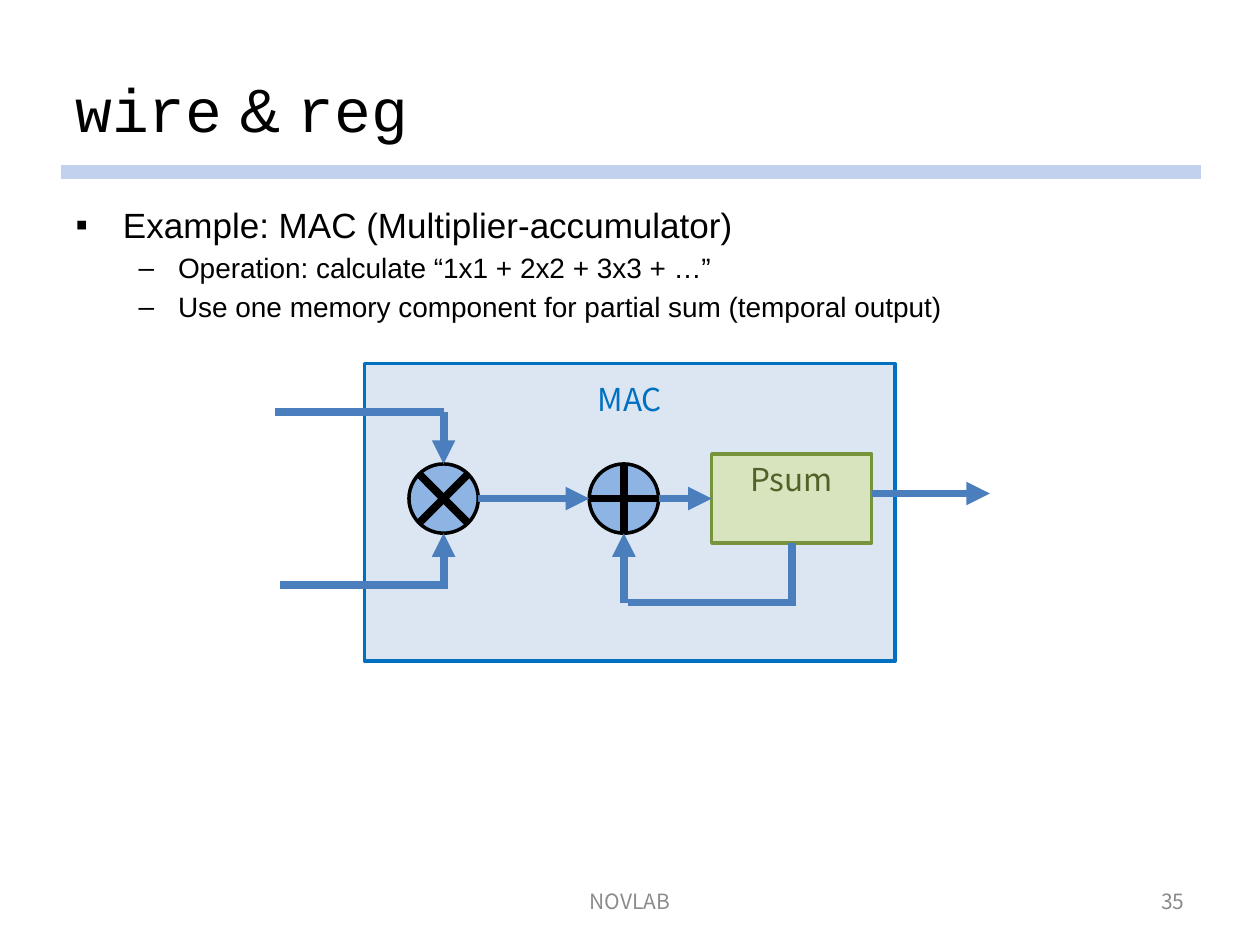
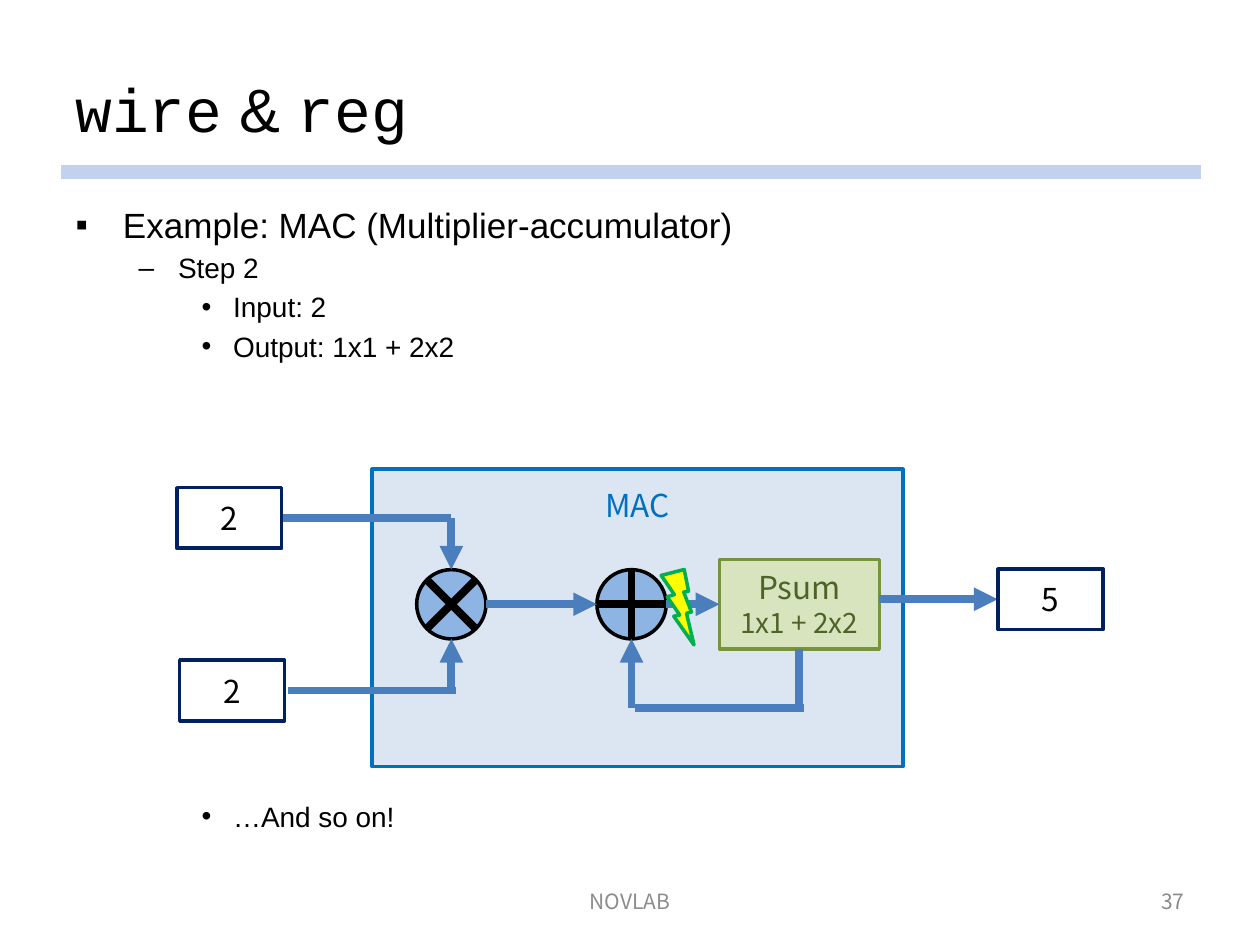
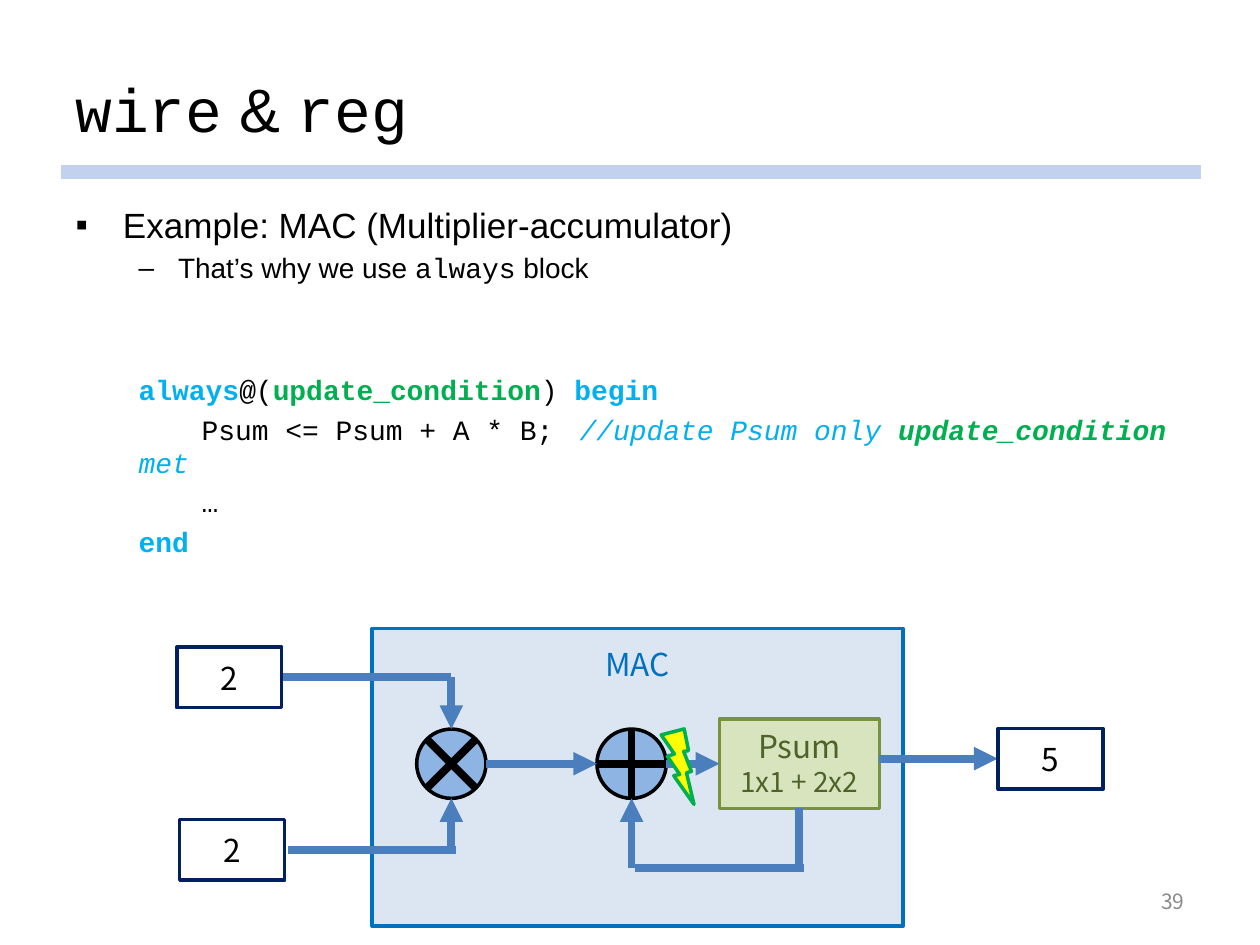
from lxml.etree import SubElement
from pptx import Presentation
from pptx.dml.color import RGBColor
from pptx.enum.shapes import MSO_CONNECTOR as Connector, MSO_SHAPE as Shape
from pptx.enum.text import MSO_ANCHOR as Anchor, PP_ALIGN as Align
from pptx.oxml.ns import qn
from pptx.util import Pt

# Colours and fonts
BLACK = RGBColor(0x00, 0x00, 0x00)
WHITE = RGBColor(0xFF, 0xFF, 0xFF)
BAND = RGBColor(0xC2, 0xD1, 0xED)
PAGE_GREY = RGBColor(0x89, 0x89, 0x89)
LAB_GREY = RGBColor(0x8C, 0x8C, 0x8C)
MAC_FILL = RGBColor(0xDC, 0xE6, 0xF2)
MAC_BLUE = RGBColor(0x00, 0x70, 0xC0)
PSUM_FILL = RGBColor(0xD7, 0xE4, 0xBD)
PSUM_LINE = RGBColor(0x77, 0x93, 0x3C)
PSUM_TEXT = RGBColor(0x4F, 0x62, 0x28)
NODE_FILL = RGBColor(0x8E, 0xB4, 0xE3)
WIRE = RGBColor(0x4B, 0x7E, 0xBC)
NAVY = RGBColor(0x00, 0x20, 0x60)
YELLOW = RGBColor(0xFF, 0xFF, 0x00)
GREEN = RGBColor(0x00, 0xB0, 0x50)
CYAN = RGBColor(0x00, 0xB0, 0xF0)
SANS, MONO, LABEL = "Arial", "Courier New", "Noto Sans CJK KR"

# Text formats
TITLE = {"size": Pt(35), "name": SANS}
TITLE_CODE = {"size": Pt(35), "name": MONO}
HEAD = {"size": Pt(20), "name": SANS}
BODY = {"size": Pt(16), "name": SANS}
CODE = {"size": Pt(16), "name": MONO}
KEYWORD = CODE | {"color": CYAN, "bold": True}
CONDITION = CODE | {"color": GREEN, "bold": True}
NOTE = CODE | {"color": CYAN, "italic": True}
VALUE = {"size": Pt(18), "name": LABEL}
SMALL = {"size": Pt(12), "name": LABEL}

# Paragraph levels: left margin, first-line indent, space before, bullet
TOP = (27, -27, 4, "▪")
DASH = (58.5, -22.5, 3.2, "–")
DOT = (90, -18, 3.2, "•")
LISTING = (0, 0, 3.2, None)
PLAIN = (0, 0, 0, None)


def write(shape, paragraphs, align=Align.LEFT, anchor=Anchor.MIDDLE, top=3.6):
    frame = shape.text_frame
    frame.word_wrap = True
    frame.vertical_anchor = anchor
    frame.margin_top = Pt(top)
    for index, ((margin, indent, before, bullet), spans) in enumerate(paragraphs):
        para = frame.add_paragraph() if index else frame.paragraphs[0]
        para.alignment = align
        para.space_before = Pt(before)
        properties = para._p.get_or_add_pPr()
        properties.set("marL", str(Pt(margin)))
        properties.set("indent", str(Pt(indent)))
        if bullet:
            SubElement(properties, qn("a:buFont"), typeface=SANS)
            SubElement(properties, qn("a:buChar"), char=bullet)
        for text, formats in spans:
            span = para.add_run()
            span.text = text
            span.font.color.rgb = BLACK
            for key, value in formats.items():
                if key == "color":
                    span.font.color.rgb = value
                else:
                    setattr(span.font, key, value)


def add_block(page, kind, left, top, width, height, fill, line):
    block = page.shapes.add_shape(kind, Pt(left), Pt(top), Pt(width), Pt(height))
    block.shadow.inherit = False
    block.fill.solid()
    block.fill.fore_color.rgb = fill
    block.line.color.rgb = line
    block.line.width = Pt(2)
    return block


# Slide content: page number, lab footer, diagram corner, Psum value,
# input and output values, paragraphs below the heading, code listing
pages = [
    ("35", "NOVLAB", (208, 207.5), None, None, [
        (DASH, [("Operation: calculate “1x1 + 2x2 + 3x3 + …”", BODY)]),
        (DASH, [("Use one memory component for partial sum (temporal output)", BODY)]),
    ], None),
    ("37", "NOVLAB", (212.4, 267.9), "1x1 + 2x2", ("2", "2", "5"), [
        (DASH, [("Step 2", BODY)]),
        (DOT, [("Input: 2", BODY)]),
        (DOT, [("Output: 1x1 + 2x2", BODY)]),
        ((90, -18, 249.5, "•"), [("…And so on!", BODY)]),
    ], None),
    ("39", None, (212.4, 359), "1x1 + 2x2", ("2", "2", "5"), [
        (DASH, [("That’s why we use ", BODY), ("always", CODE), (" block", BODY)]),
    ], [
        (PLAIN, [("always", KEYWORD), ("@(", CODE), ("update_condition", CONDITION),
                 (") ", CODE), ("begin", KEYWORD)]),
        (LISTING, [("\tPsum <= Psum + A * B;\t", CODE), ("//update Psum only ", NOTE),
                   ("update_condition ", CONDITION | {"italic": True}), ("met", NOTE)]),
        (LISTING, [("\t…", CODE)]),
        (LISTING, [("end", KEYWORD)]),
    ]),
]

# Diagram geometry, measured from the corner of the MAC block
NODE = 39.6
NODE_TOP, NODE_MID, NODE_BOTTOM = 57.6, 77.4, 97.2
TIMES_X, PLUS_X = 45.5, 148.5
CROSS = 14
PSUM_LEFT, PSUM_TOP, PSUM_WIDTH, PSUM_HEIGHT = 198.7, 51.8, 91.4, 51.1
PSUM_RIGHT, PSUM_MID = PSUM_LEFT + PSUM_WIDTH, PSUM_LEFT + PSUM_WIDTH / 2
IN_TOP, IN_BOTTOM, FEEDBACK, OUT = 28, 126.7, 136.8, 74.5
HALF = NODE / 2

# Lines: x1, y1, x2, y2, colour, arrow
lines = [
    (PSUM_RIGHT, OUT, 357.7, OUT, WIRE, True),
    (PLUS_X, NODE_TOP, PLUS_X, NODE_BOTTOM, BLACK, False),
    (PLUS_X - HALF, NODE_MID, PLUS_X + HALF, NODE_MID, BLACK, False),
    (TIMES_X - CROSS, NODE_MID - CROSS, TIMES_X + CROSS, NODE_MID + CROSS, BLACK, False),
    (TIMES_X + CROSS, NODE_MID - CROSS, TIMES_X - CROSS, NODE_MID + CROSS, BLACK, False),
    (PLUS_X + HALF, NODE_MID, PSUM_LEFT, NODE_MID, WIRE, True),
    (TIMES_X + HALF, NODE_MID, PLUS_X - HALF, NODE_MID, WIRE, True),
    (TIMES_X, IN_TOP, TIMES_X, NODE_TOP, WIRE, True),
    (TIMES_X, IN_BOTTOM, TIMES_X, NODE_BOTTOM, WIRE, True),
    (TIMES_X, IN_TOP, -51, IN_TOP, WIRE, False),
    (TIMES_X + 2.8, IN_BOTTOM, -47.8, IN_BOTTOM, WIRE, False),
    (PSUM_MID + 2.6, FEEDBACK, PLUS_X + 2.2, FEEDBACK, WIRE, False),
    (PSUM_MID, FEEDBACK, PSUM_MID, PSUM_TOP + PSUM_HEIGHT, WIRE, False),
    (PLUS_X, FEEDBACK, PLUS_X, NODE_BOTTOM, WIRE, True),
]
value_corners = [(-111.4, 10.8), (-109.7, 109.4), (358, 57.3)]

deck = Presentation()
deck.slide_width, deck.slide_height = Pt(720), Pt(540)

for number, lab, (x, y), partial_sum, values, details, listing in pages:
    page = deck.slides.add_slide(deck.slide_layouts[6])

    # Title, body, code and footers
    title = [("wire", TITLE_CODE), (" & ", TITLE), ("reg", TITLE_CODE)]
    heading = [("Example: MAC (Multiplier-accumulator)", HEAD)]
    texts = [
        (36, 21.6, 648, 80, [(PLAIN, title)], Align.LEFT, Anchor.MIDDLE),
        (36.2, 112.5, 648, 355.5, [(TOP, heading)] + details, Align.LEFT, Anchor.TOP),
        (516, 500.5, 168, 28.75, [(PLAIN, [(number, SMALL | {"color": PAGE_GREY})])],
         Align.RIGHT, Anchor.MIDDLE),
    ]
    if listing:
        texts.append((72.2, 209.6, 612, 120, listing, Align.LEFT, Anchor.TOP))
    if lab:
        texts.append((246, 500.5, 228, 28.75,
                      [(PLAIN, [(lab, SMALL | {"color": LAB_GREY})])],
                      Align.CENTER, Anchor.MIDDLE))
    for left, top, width, height, paragraphs, align, anchor in texts:
        box = page.shapes.add_textbox(Pt(left), Pt(top), Pt(width), Pt(height))
        write(box, paragraphs, align, anchor)

    # MAC block, Psum register and the two operators
    mac = add_block(page, Shape.RECTANGLE, x + 0.3, y + 0.2, 303.3, 170, MAC_FILL, MAC_BLUE)
    write(mac, [(PLAIN, [("MAC", VALUE | {"color": MAC_BLUE})])],
          Align.CENTER, Anchor.TOP, 9.5)
    psum = add_block(page, Shape.RECTANGLE, x + PSUM_LEFT, y + PSUM_TOP,
                     PSUM_WIDTH, PSUM_HEIGHT, PSUM_FILL, PSUM_LINE)
    psum_style = VALUE | {"color": PSUM_TEXT}
    psum_text = [(PLAIN, [("Psum", psum_style)])]
    if partial_sum:
        psum_text.append((PLAIN, [(partial_sum, psum_style | {"size": Pt(16)})]))
    write(psum, psum_text, Align.CENTER, Anchor.TOP, 4.7 if partial_sum else 3.3)
    for center in (TIMES_X, PLUS_X):
        add_block(page, Shape.OVAL, x + center - HALF, y + NODE_TOP,
                  NODE, NODE, NODE_FILL, BLACK)

    # Title band and diagram wires
    band = (34.9, 98.5, 686.4, 98.5, BAND, False, 8)
    wires = [(x + x1, y + y1, x + x2, y + y2, color, arrow, 4.5)
             for x1, y1, x2, y2, color, arrow in lines]
    for x1, y1, x2, y2, color, arrow, weight in [band] + wires:
        wire = page.shapes.add_connector(Connector.STRAIGHT, Pt(x1), Pt(y1), Pt(x2), Pt(y2))
        wire.line.color.rgb = color
        wire.line.width = Pt(weight)
        if arrow:
            SubElement(wire.line._get_or_add_ln(), qn("a:tailEnd"), type="triangle")
        SubElement(wire._element.spPr, qn("a:effectLst"))

    # Input and output values, and the update trigger
    if values:
        for value, (left, top) in zip(values, value_corners):
            box = add_block(page, Shape.RECTANGLE, x + left, y + top, 60, 34.6, WHITE, NAVY)
            write(box, [(PLAIN, [(value, VALUE)])], Align.CENTER)
        bolt = add_block(page, Shape.LIGHTNING_BOLT, x + 161.1, y + NODE_TOP,
                         29.5, NODE, YELLOW, GREEN)
        bolt.rotation = 17

deck.save("out.pptx")
